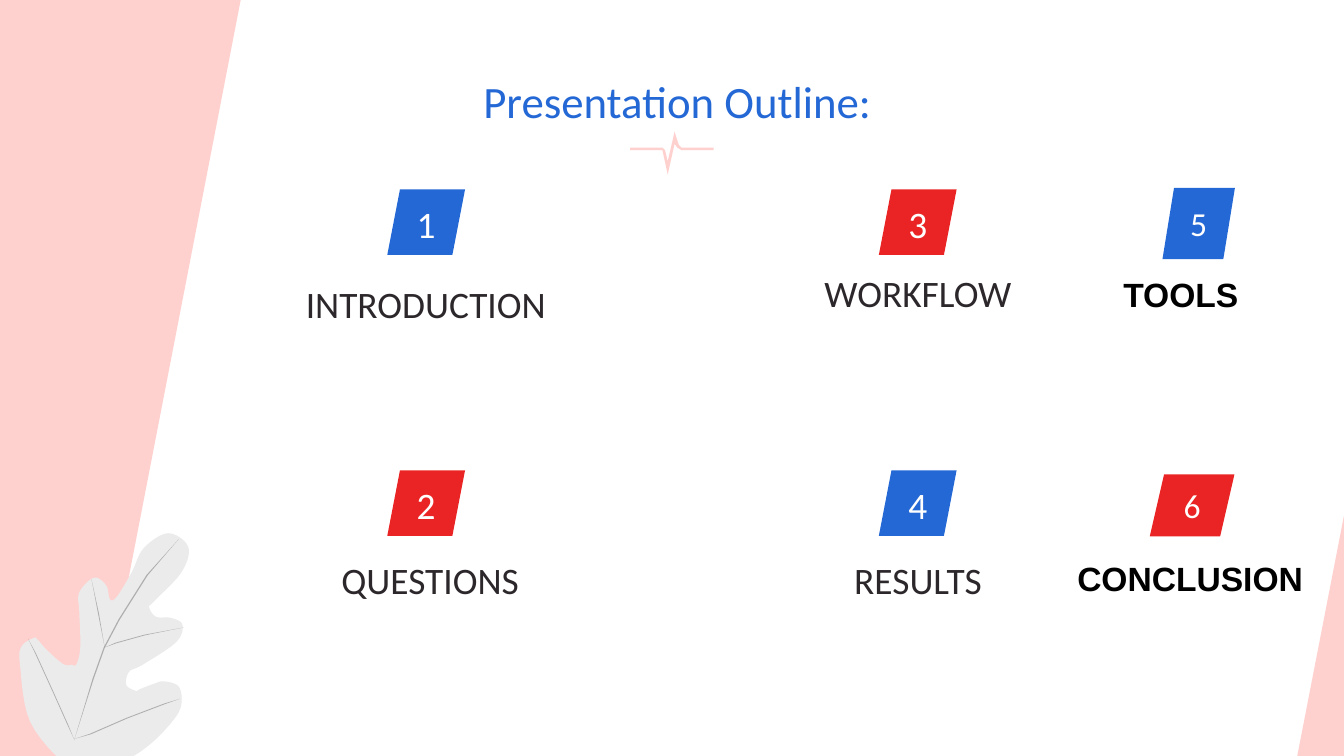
from lxml.etree import SubElement
from pptx import Presentation
from pptx.dml.color import RGBColor
from pptx.enum.text import MSO_ANCHOR, PP_ALIGN
from pptx.oxml.ns import qn
from pptx.util import Cm, Pt

COLOURS = {
    "pink": "FED1CF",
    "blue": "2468D6",
    "red": "EA2424",
    "leaf": "EBEBEB",
    "ink": "2C272A",
    "white": "FFFFFF",
    "black": "000000",
}
WIDTH, HEIGHT = 25.4, 14.29

LEFT_BAND = [(0, 0), (0, HEIGHT), (1.78, HEIGHT), (4.55, 0)]
RIGHT_CORNER = [(WIDTH, 9.75), (WIDTH, 14.33), (24.51, 14.33)]
PULSE = [
    (12.75, 2.49), (12.62, 3.05), (12.57, 2.84), (12.52, 2.79),
    (11.91, 2.79), (11.91, 2.84), (12.52, 2.84), (12.62, 3.3),
    (12.75, 2.72), (12.8, 2.79), (12.88, 2.84), (13.49, 2.84),
    (13.49, 2.79), (12.88, 2.79), (12.83, 2.74), (12.78, 2.59),
]
LEAF = [
    (3.18, 10.08), (2.72, 10.36), (2.49, 10.82), (2.21, 11.28), (2.08, 11.33),
    (2.01, 11.07), (1.78, 10.92), (1.5, 11.2), (1.5, 11.56), (1.52, 12.22),
    (1.45, 12.55), (1.35, 12.57), (1.19, 12.55), (0.89, 12.29), (0.71, 12.09),
    (0.64, 12.06), (0.41, 12.22), (0.38, 12.57), (0.57, 13.64), (1.24, 14.45),
    (1.65, 14.53), (2.34, 14.38), (2.85, 14.06), (3.28, 13.61), (3.43, 13.31),
    (3.38, 12.98), (3.1, 12.88), (2.9, 12.93), (2.64, 13.03), (2.57, 13.06),
    (2.39, 12.95), (2.44, 12.7), (2.69, 12.57), (3.33, 12.14), (3.45, 11.81),
    (3.23, 11.68), (2.95, 11.66), (2.82, 11.48), (2.9, 11.38), (3.43, 10.82),
    (3.56, 10.34),
]
VEINS = [
    [(3.38, 10.19), (2.77, 10.87), (2.24, 11.71), (1.96, 12.24), (1.75, 12.83), (1.4, 14)],
    [(1.73, 10.95), (1.85, 11.58), (1.98, 12.24)],
    [(3.48, 11.86), (2.72, 12), (2.18, 12.15), (1.98, 12.24)],
    [(0.53, 12.07), (0.66, 12.34), (0.97, 13.02), (1.27, 13.69), (1.4, 13.97)],
    [(3.4, 13.21), (3.1, 13.3), (2.39, 13.57), (1.7, 13.87), (1.4, 13.97)],
]


def smooth_loop(points, steps=6):
    """Return a closed Catmull-Rom curve through the points."""
    curve = []
    n = len(points)
    for i in range(n):
        corners = [points[(i + k) % n] for k in (-1, 0, 1, 2)]
        for step in range(steps):
            t = step / steps
            curve.append(tuple(
                b + t * (c - a + t * (2 * a - 5 * b + 4 * c - d
                                      + t * (3 * b - a - 3 * c + d))) / 2
                for a, b, c, d in zip(*corners)
            ))
    return curve


def sliver(points):
    """Return a thin closed outline, pointed at both ends, along the points."""
    return points + [(x + 0.02, y + 0.01) for x, y in points[-2:0:-1]]


class Deck:
    """Holds the style and the current slide; lengths are in centimetres."""

    font = "Calibri"

    def __init__(self):
        self.prs = Presentation()
        self.prs.slide_width, self.prs.slide_height = Cm(WIDTH), Cm(HEIGHT)
        self.s = self.prs.slides.add_slide(self.prs.slide_layouts[6])

    def outline(self, points, colour, alpha=None):
        corners = [(Cm(x), Cm(y)) for x, y in points]
        builder = self.s.shapes.build_freeform(*corners[0])
        builder.add_line_segments(corners[1:], close=True)
        sp = builder.convert_to_shape()
        sp.shadow.inherit = False
        sp.fill.solid()
        sp.fill.fore_color.rgb = RGBColor.from_string(COLOURS[colour])
        sp.line.fill.background()
        if alpha is not None:
            rgb = sp.element.spPr.find(f"{qn('a:solidFill')}/{qn('a:srgbClr')}")
            SubElement(rgb, qn("a:alpha"), val=str(alpha * 1000))
        return sp

    def badge(self, x, y, w, h, slant, colour):
        return self.outline(
            [(x + slant, y), (x, y + h), (x + w - slant, y + h), (x + w, y)], colour)

    def label(self, sp, text, size, colour, align=PP_ALIGN.CENTER,
              anchor=MSO_ANCHOR.TOP, inset=0.0, font=None, bold=False):
        tf = sp.text_frame
        tf.word_wrap = True
        tf.vertical_anchor = anchor
        tf.margin_left = tf.margin_right = tf.margin_top = tf.margin_bottom = Cm(inset)
        p = tf.paragraphs[0]
        p.text = text
        p.alignment = align
        p.font.name = font or self.font
        p.font.size = Pt(size)
        p.font.bold = bold
        p.font.color.rgb = RGBColor.from_string(COLOURS[colour])
        return p

    def text(self, x, y, w, h, *args, **style):
        box = self.s.shapes.add_textbox(Cm(x), Cm(y), Cm(w), Cm(h))
        return self.label(box, *args, **style)


def main():
    deck = Deck()
    deck.outline(LEFT_BAND, "pink")
    deck.outline(smooth_loop(LEAF), "leaf")
    for vein in VEINS:
        deck.outline(sliver(vein), "ink", alpha=31)
    deck.outline(RIGHT_CORNER, "pink")
    deck.outline(PULSE, "pink")

    deck.text(0.2, 1.14, 25.2, 1.17, "Presentation Outline:", 24, "blue", inset=0.25)

    # number, badge left and top, colour, caption, caption left and top
    topics = [
        ("1", 7.32, 3.58, "blue", "INTRODUCTION", 4.8, 5.31),
        ("2", 7.32, 8.89, "red", "QUESTIONS", 4.88, 10.54),
        ("3", 16.61, 3.58, "red", "WORKFLOW", 14.1, 5.11),
        ("4", 16.61, 8.89, "blue", "RESULTS", 14.1, 10.54),
    ]
    for number, x, y, colour, caption, cx, cy in topics:
        deck.badge(x, y, 1.47, 1.24, 0.24, colour)
        deck.text(x + 0.05, y + 0.28, 1.37, 0.79, number, 20, "white",
                  anchor=MSO_ANCHOR.BOTTOM)
        p = deck.text(cx, cy, 6.5, 0.89, caption, 20, "ink")
        p.space_after = Pt(16)

    # number, badge left, top, width, height, slant, colour, caption, its left and top
    closing = [
        ("5", 21.97, 3.55, 1.37, 1.35, 0.22, "blue", "TOOLS", 20.98, 5.05),
        ("6", 21.73, 8.97, 1.6, 1.17, 0.27, "red", "CONCLUSION", 20.11, 10.41),
    ]
    for number, x, y, w, h, slant, colour, caption, cx, cy in closing:
        sp = deck.badge(x, y, w, h, slant, colour)
        deck.label(sp, number, 18, "white", anchor=MSO_ANCHOR.MIDDLE, inset=0.25)
        deck.text(cx, cy, WIDTH - cx, 1.02, caption, 18, "black",
                  align=PP_ALIGN.LEFT, inset=0.25, font="Arial", bold=True,
                  anchor=MSO_ANCHOR.MIDDLE)

    deck.prs.save("out.pptx")


if __name__ == "__main__":
    main()
